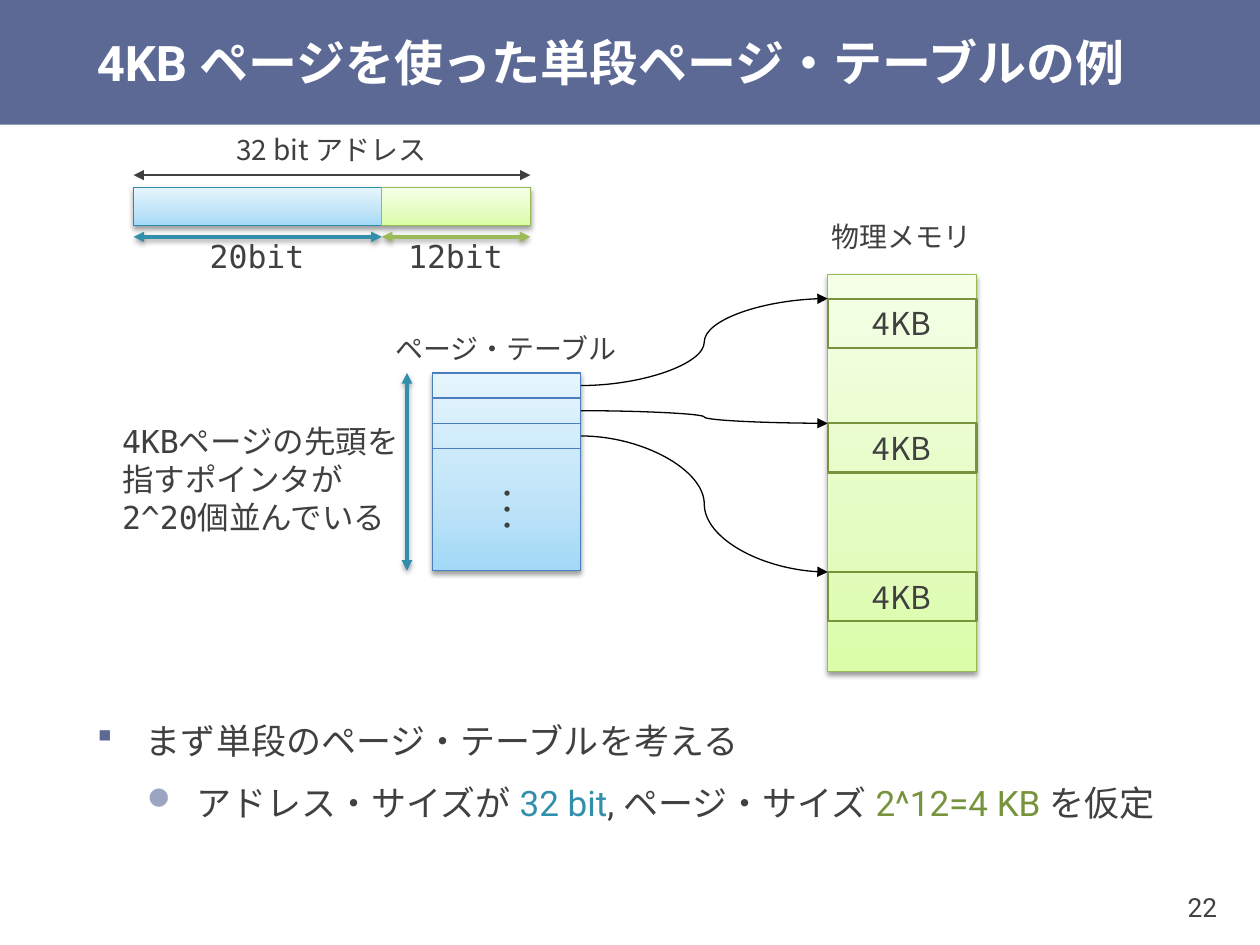
from lxml import etree
from pptx import Presentation
from pptx.dml.color import RGBColor
from pptx.enum.shapes import MSO_CONNECTOR as CONN, MSO_SHAPE as SHAPE
from pptx.enum.text import MSO_ANCHOR as ANCHOR, PP_ALIGN as ALIGN
from pptx.oxml import parse_xml
from pptx.oxml.ns import qn
from pptx.util import Inches, Pt

NS = 'xmlns:a="http://schemas.openxmlformats.org/drawingml/2006/main"'
CJK, MONO, ROBOTO = "Noto Sans CJK JP", "DejaVu Sans Mono", "Roboto"
TEXT, NAVY, TEAL, OLIVE = "404040", "5C6994", "328FAC", "77933C"
BLUE_STOPS = ((0, "A2D9F7"), (35, "BFE4F8"), (100, "E6F5FD"))
GREEN_STOPS = ((0, "DAFDA7"), (35, "E4FCC2"), (100, "F5FFE7"))


def rgb(value):
    return RGBColor.from_string(value)


# Basic parts
def add_shadow(sp):
    props = sp._element.spPr
    for old in props.findall(qn("a:effectLst")):
        props.remove(old)
    props.append(parse_xml(
        f'<a:effectLst {NS}><a:outerShdw blurRad="{Pt(3.1)}" dist="{Pt(1.6)}" dir="5400000" '
        'rotWithShape="0"><a:srgbClr val="000000"><a:alpha val="38000"/></a:srgbClr>'
        '</a:outerShdw></a:effectLst>'))


def add_run(p, text, size, font, color=TEXT, bold=False):
    r = p.add_run()
    r.text = text
    r.font.size, r.font.name, r.font.bold = Pt(size), font, bold
    r.font.color.rgb = rgb(color)
    latin = r._r.get_or_add_rPr().find(qn("a:latin"))
    ea = etree.Element(qn("a:ea"))
    ea.set("typeface", ROBOTO if font == ROBOTO else CJK)
    latin.addnext(ea)


def write(sp, lines, size, font, color=TEXT, align=ALIGN.CENTER, bold=False, wrap=False):
    tf = sp.text_frame
    tf.word_wrap, tf.vertical_anchor = wrap, ANCHOR.MIDDLE
    for i, line in enumerate(lines):
        p = tf.add_paragraph() if i else tf.paragraphs[0]
        p.alignment = align
        add_run(p, line, size, font, color, bold)
    return tf


def add_rect(s, x, y, w, h, line=None, width=0.75, stops=None, fill=None, shadow=False):
    sp = s.shapes.add_shape(SHAPE.RECTANGLE, Inches(x), Inches(y), Inches(w), Inches(h))
    sp.shadow.inherit = False
    if fill:
        sp.fill.solid()
        sp.fill.fore_color.rgb = rgb(fill)
    else:
        sp.fill.background()
    if stops:
        gs = "".join(f'<a:gs pos="{pos * 1000}"><a:srgbClr val="{c}"/></a:gs>' for pos, c in stops)
        none = sp._element.spPr.find(qn("a:noFill"))
        none.getparent().replace(none, parse_xml(
            f'<a:gradFill {NS} rotWithShape="1"><a:gsLst>{gs}</a:gsLst>'
            '<a:lin ang="16200000" scaled="0"/></a:gradFill>'))
    if line:
        sp.line.color.rgb, sp.line.width = rgb(line), Pt(width)
    else:
        sp.line.fill.background()
    if shadow:
        add_shadow(sp)
    return sp


def add_label(s, x, y, w, h, *lines, size=16, font=CJK, **style):
    return write(add_rect(s, x, y, w, h), lines, size, font, **style)


def add_arrow(s, x1, y1, x2, y2, color, width=0.75, both=True, kind=CONN.STRAIGHT, shadow=False):
    c = s.shapes.add_connector(kind, Inches(x1), Inches(y1), Inches(x2), Inches(y2))
    c.line.color.rgb, c.line.width = rgb(color), Pt(width)
    ln = c.line._get_or_add_ln()
    for end in ("headEnd", "tailEnd") if both else ("tailEnd",):
        etree.SubElement(ln, qn("a:" + end)).set("type", "triangle")
    if shadow:
        add_shadow(c)
    else:
        etree.SubElement(c._element.spPr, qn("a:effectLst"))


# Title bar and page number
def title_bar(s, w, h):
    add_rect(s, 0, 0, w, h, fill=NAVY)
    tf = add_label(s, 0.67, 0, w - 0.67, h, "4KB ページを使った単段ページ・テーブルの例", size=28,
                   font=ROBOTO, color="FFFFFF", align=ALIGN.LEFT, bold=True, wrap=True)
    tf.margin_top = tf.margin_bottom = 0


def page_number(s, x, y, w, h):
    tf = add_label(s, x, y, w, h, "22", size=15, font=ROBOTO, align=ALIGN.RIGHT)
    tf.margin_left = tf.margin_right = Inches(0.07)
    tf.margin_top = tf.margin_bottom = Inches(0.04)


# 32-bit address split into page number and offset
def address_bar(s, x, y, w, h):
    split = 1.97
    add_rect(s, x, y, w, h, "2E8DAB", stops=BLUE_STOPS, shadow=True)
    add_rect(s, x + split, y, w - split, h, "98B955", stops=GREEN_STOPS)
    add_arrow(s, x, y - 0.1, x + w, y - 0.1, TEXT)
    add_label(s, x + w / 2 - 0.4, y - 0.5, 0.79, 0.39, "32 bit アドレス")
    below = y + 0.39
    for left, right, text, color in ((x + split, x + w, "12bit", "9BBB59"),
                                     (x, x + split, "20bit", TEAL)):
        add_arrow(s, left, below, right, below, color, 2, shadow=True)
        add_label(s, (left + right) / 2 - 0.3, below, 0.59, 0.3, text, size=18, font=MONO)


# Page table with its entries
def page_table(s, x, y, w, h, row):
    add_rect(s, x, y, w, h, "2E8DAB", stops=BLUE_STOPS, shadow=True)
    for i in range(3):
        add_rect(s, x, y + i * row, w, row, "4B7EBC")
    rest = add_rect(s, x, y + 3 * row, w, h - 3 * row, "4B7EBC")
    tf = write(rest, ["･･･"], 18, CJK)
    tf._txBody.bodyPr.set("vert", "vert270")
    add_arrow(s, x - 0.2, y + h, x - 0.2, y, TEAL, 2, shadow=True)
    add_label(s, x + w / 2 - 0.4, y - 0.39, 0.79, 0.39, "ページ・テーブル")
    add_label(s, x - 2.56, y + 0.69, 0.59, 0.3, "4KBページの先頭を", "指すポインタが",
              "2^20個並んでいる", size=18, font=MONO, align=ALIGN.LEFT)


# Physical memory with the pages the entries point to
def physical_memory(s, x, y, w, h, pages, entry_x, entry_y, row):
    add_rect(s, x, y, w, h, "98B955", stops=GREEN_STOPS, shadow=True)
    add_label(s, x + w / 2 - 0.4, y - 0.5, 0.79, 0.39, "物理メモリ")
    for i, offset in enumerate(pages):
        top = y + offset
        page = add_rect(s, x, top, w, 0.39, OLIVE, 1.25)
        write(page, ["4KB"], 18, CJK)
        add_arrow(s, entry_x, entry_y + (i + 0.5) * row, x, top, "000000",
                  both=False, kind=CONN.CURVE)


# Bulleted text
def bullets(s, x, y, w, h):
    tf = s.shapes.add_textbox(Inches(x), Inches(y), Inches(w), Inches(h)).text_frame
    tf.word_wrap, tf.vertical_anchor = True, ANCHOR.MIDDLE
    items = (
        ("§", NAVY, 100, 24, 6, [("まず単段のページ・テーブルを考える", TEXT)]),
        ("l", "9BA4C1", 90, 3, 3, [("アドレス・サイズが ", TEXT), ("32 bit", TEAL),
                                   (", ページ・サイズ ", TEXT), ("2^12=4 KB ", OLIVE),
                                   ("を仮定", TEXT)]),
    )
    for level, (char, color, size, before, after, runs) in enumerate(items):
        p = tf.add_paragraph() if level else tf.paragraphs[0]
        p.level, p.line_spacing = level, 1.1
        p.space_before, p.space_after = Pt(before), Pt(after)
        pPr = p._p.get_or_add_pPr()
        pPr.set("marL", str(Inches(0.39 + 0.4 * level)))
        pPr.set("indent", str(Inches(-0.39)))
        for xml in (f'<a:buClr {NS}><a:srgbClr val="{color}"/></a:buClr>',
                    f'<a:buSzPct {NS} val="{size * 1000}"/>',
                    f'<a:buFont {NS} typeface="Wingdings" pitchFamily="2" charset="2"/>',
                    f'<a:buChar {NS} char="{char}"/>'):
            pPr.append(parse_xml(xml))
        for text, run_color in runs:
            add_run(p, text, 20, ROBOTO, run_color)


prs = Presentation()
prs.slide_width, prs.slide_height = Inches(10), Inches(7.5)
s = prs.slides.add_slide(prs.slide_layouts[6])

title_bar(s, 10, 0.99)
page_number(s, 8.94, 6.9, 0.79, 0.6)
bullets(s, 0.67, 5.32, 9.06, 1.57)
address_bar(s, 1.06, 1.49, 3.15, 0.3)
page_table(s, 3.43, 2.96, 1.18, 1.57, row=0.2)
physical_memory(s, 6.57, 2.18, 1.18, 3.15, pages=(0.19, 1.18, 2.36),
                entry_x=4.61, entry_y=2.96, row=0.2)

prs.save("out.pptx")
